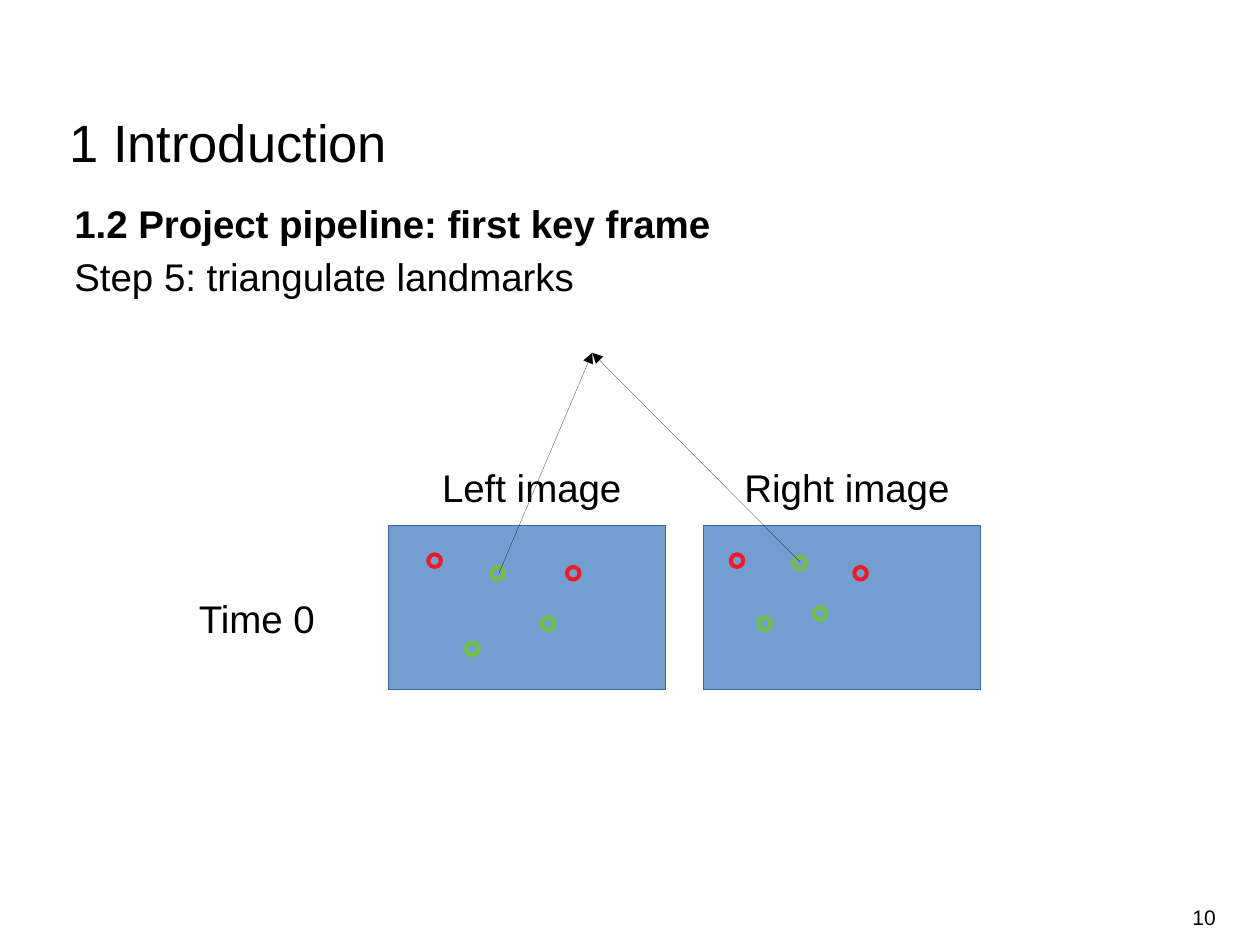
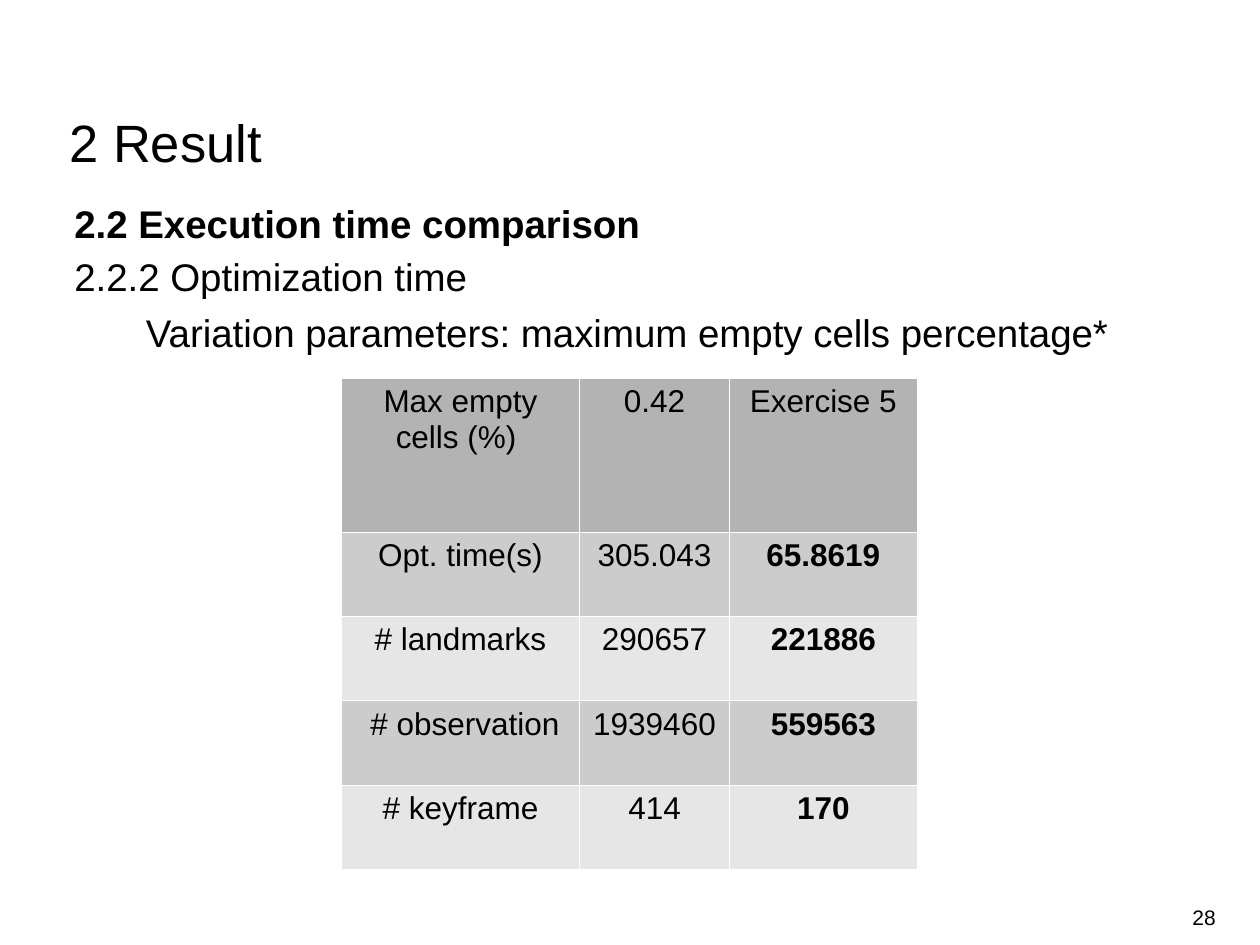
from lxml.etree import SubElement
from pptx import Presentation
from pptx.dml.color import RGBColor
from pptx.enum.shapes import MSO_CONNECTOR, MSO_SHAPE
from pptx.enum.text import MSO_ANCHOR, MSO_AUTO_SIZE, PP_ALIGN
from pptx.oxml import parse_xml
from pptx.oxml.ns import nsdecls, qn
from pptx.util import Inches, Pt

FONT, BLACK, WHITE = "Arial", "000000", "FFFFFF"
PANEL, PANEL_EDGE = "729FCF", "3465A4"
RED, GREEN = "ED1C24", "72BF44"
HEADER, BAND_DARK, BAND_LIGHT = "B3B3B3", "CCCCCC", "E6E6E6"
HAIRLINE = 0.01


def rgb(value):
    return RGBColor.from_string(value)


class Deck:
    """Holds the shared style and the current slide."""

    def __init__(self):
        self.prs = Presentation()
        self.prs.slide_width, self.prs.slide_height = Inches(10), Inches(7.5)
        self.s = None

    def style(self, p, size, bold=False, align=PP_ALIGN.LEFT):
        p.alignment = align
        for r in p.runs:
            r.font.name, r.font.size, r.font.bold = FONT, Pt(size), bold
            r.font.color.rgb = rgb(BLACK)

    def text(self, box, text, size=22, wrap=True, align=PP_ALIGN.LEFT,
             anchor=MSO_ANCHOR.TOP, margins=(0.1, 0.05), spacing=None, bold_first=False):
        tf = self.s.shapes.add_textbox(*map(Inches, box)).text_frame
        tf.word_wrap, tf.vertical_anchor = wrap, anchor
        tf.auto_size = MSO_AUTO_SIZE.NONE if wrap else MSO_AUTO_SIZE.SHAPE_TO_FIT_TEXT
        tf.margin_left = tf.margin_right = Inches(margins[0])
        tf.margin_top = tf.margin_bottom = Inches(margins[1])
        tf.text = text
        for i, p in enumerate(tf.paragraphs):
            p.line_spacing = spacing
            self.style(p, size, bold_first and i == 0, align)

    def slide(self, title, heading, subheading, number):
        self.s = self.prs.slides.add_slide(self.prs.slide_layouts[6])
        self.text((0.59, 1.54, 8.85, 4.87), f"{heading}\n{subheading}",
                  margins=(0, 0), spacing=1.14, bold_first=True)
        self.text((7.41, 7.08, 2.24, 0.4), str(number), 12, align=PP_ALIGN.RIGHT,
                  anchor=MSO_ANCHOR.MIDDLE, margins=(0, 0.05))
        self.text((0.55, 0.93, 6.85, 0.45), title, 30, margins=(0, 0), spacing=Pt(32))

    def shape(self, kind, box, line, width, fill=None):
        sp = self.s.shapes.add_shape(kind, *map(Inches, box))
        sp.shadow.inherit = False
        if fill:
            sp.fill.solid()
            sp.fill.fore_color.rgb = rgb(fill)
        else:
            sp.fill.background()
        sp.line.color.rgb, sp.line.width = rgb(line), Pt(width)

    def arrow(self, start, end):
        c = self.s.shapes.add_connector(MSO_CONNECTOR.STRAIGHT, *map(Inches, start + end))
        c.line.color.rgb, c.line.width = rgb(BLACK), Pt(HAIRLINE)
        SubElement(c.line._get_or_add_ln(), qn("a:tailEnd"), type="triangle")
        SubElement(c._element.spPr, qn("a:effectLst"))

    def cell(self, cell, text, fill, bold):
        cell.text = text
        self.style(cell.text_frame.paragraphs[0], 18, bold, PP_ALIGN.CENTER)
        cell.fill.solid()
        cell.fill.fore_color.rgb = rgb(fill)
        for i, side in enumerate("LRTB"):
            cell._tc.get_or_add_tcPr().insert(i, parse_xml(
                f'<a:ln{side} {nsdecls("a")} w="720"><a:solidFill>'
                f'<a:srgbClr val="{WHITE}"/></a:solidFill></a:ln{side}>'))

    def table(self, box, widths, heights, rows):
        frame = self.s.shapes.add_table(len(rows), len(widths), *map(Inches, box))
        t = frame.table
        t.first_row = t.horz_banding = False
        for col, width in zip(t.columns, widths):
            col.width = Inches(width)
        for i, (height, row) in enumerate(zip(heights, rows)):
            t.rows[i].height = Inches(height)
            fill = HEADER if i == 0 else BAND_DARK if i % 2 else BAND_LIGHT
            for j, text in enumerate(row):
                self.cell(t.cell(i, j), text, fill, i > 0 and j == 2)


def landmarks_slide(deck):
    deck.slide("1 Introduction", "1.2 Project pipeline: first key frame",
               "Step 5: triangulate landmarks", 10)
    for left in (3.08, 5.58):
        deck.shape(MSO_SHAPE.RECTANGLE, (left, 4.17, 2.2, 1.3), PANEL_EDGE, HAIRLINE, PANEL)
    for label, left, top, width in (("Left image", 3.41, 3.63, 1.65),
                                    ("Right image", 5.81, 3.63, 1.85),
                                    ("Time 0", 1.48, 4.67, 1.15)):
        deck.text((left, top, width, 0.44), label, wrap=False)
    features = {
        RED: ((3.4, 4.4), (4.5, 4.5), (5.8, 4.4), (6.78, 4.5)),
        GREEN: ((3.9, 4.5), (3.7, 5.1), (4.3, 4.9), (6.3, 4.42), (6.02, 4.9), (6.46, 4.82)),
    }
    for color, points in features.items():
        for point in points:
            deck.shape(MSO_SHAPE.OVAL, point + (0.1, 0.1), color, 2.3)
    landmark = (4.7, 2.8)
    for feature in ((3.96, 4.55), (6.35, 4.46)):
        deck.arrow(feature, landmark)


def timing_slide(deck):
    deck.slide("2 Result", "2.2 Execution time comparison", "2.2.2 Optimization time", 28)
    deck.table((2.71, 3, 4.57, 3.89), (1.89, 1.19, 1.49), (1.22,) + (0.67,) * 4, (
        ("Max empty cells (%) ", "0.42", "Exercise 5"),
        ("Opt. time(s)", "305.043", "65.8619"),
        ("# landmarks", "290657", "221886"),
        (" # observation", "1939460", "559563"),
        ("# keyframe", "414", "170"),
    ))
    deck.text((1.06, 2.4, 7.86, 0.78), "Variation parameters: maximum empty cells percentage*")


def main():
    deck = Deck()
    landmarks_slide(deck)
    timing_slide(deck)
    deck.prs.save("out.pptx")


if __name__ == "__main__":
    main()
